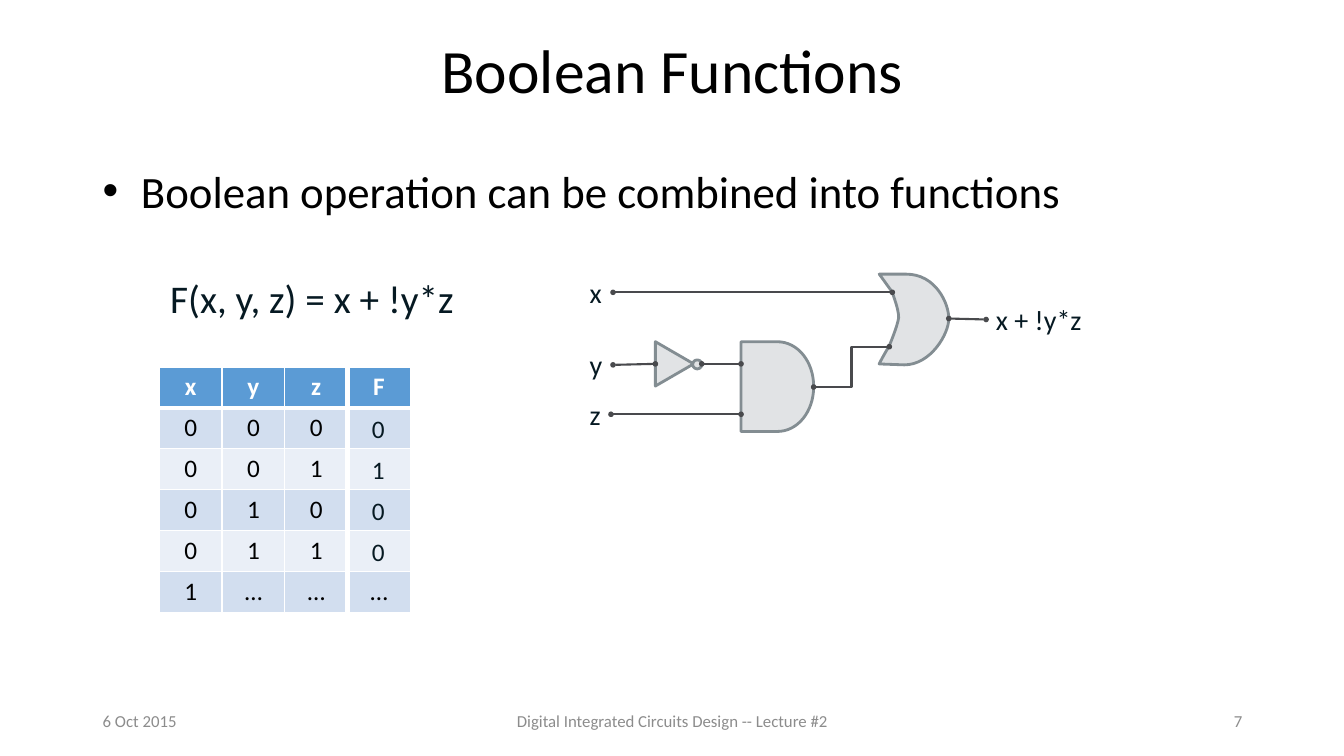
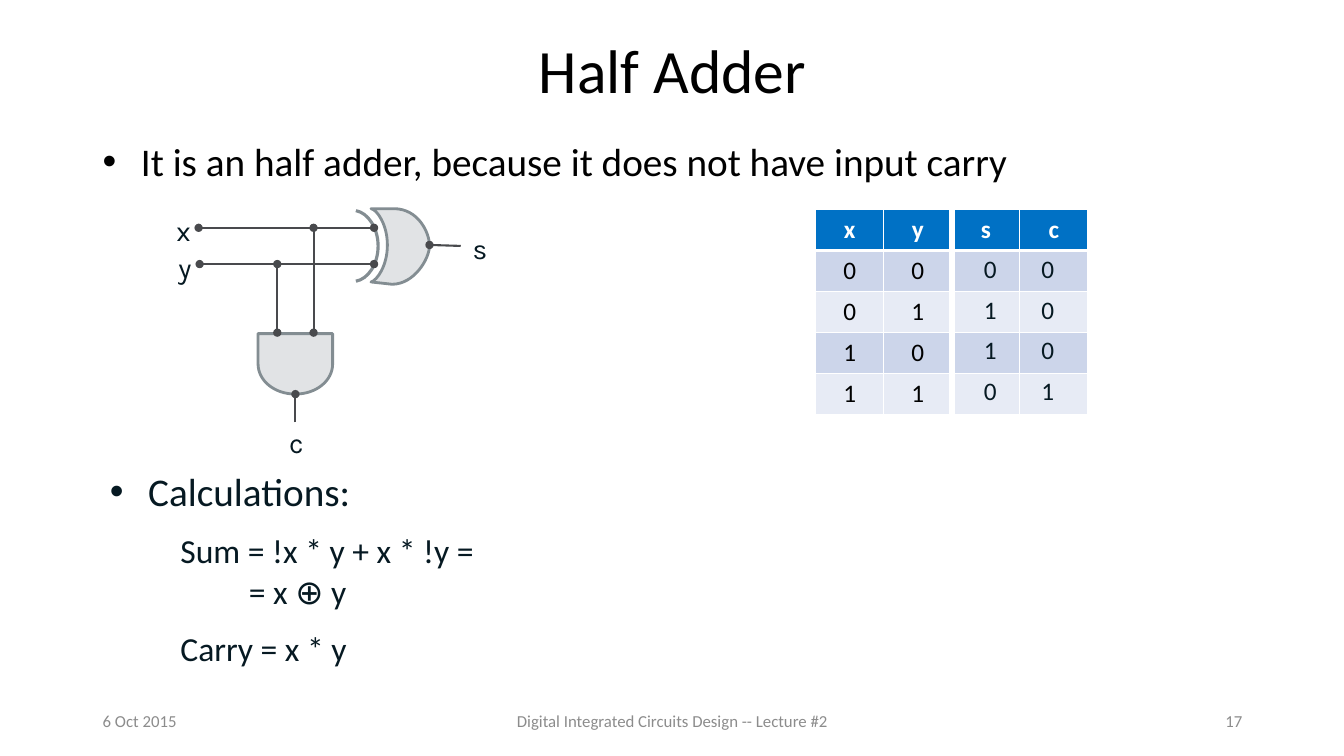
from lxml import etree
from pptx import Presentation
from pptx.dml.color import RGBColor
from pptx.enum.shapes import MSO_CONNECTOR, MSO_SHAPE
from pptx.enum.text import MSO_ANCHOR, PP_ALIGN
from pptx.oxml.ns import qn
from pptx.util import Inches, Pt

LEFT, CENTER, RIGHT = PP_ALIGN.LEFT, PP_ALIGN.CENTER, PP_ALIGN.RIGHT
TOP, MIDDLE = MSO_ANCHOR.TOP, MSO_ANCHOR.MIDDLE
STRAIGHT, ELBOW = MSO_CONNECTOR.STRAIGHT, MSO_CONNECTOR.ELBOW
TRIANGLE, OVAL = MSO_SHAPE.ISOSCELES_TRIANGLE, MSO_SHAPE.OVAL
RECTANGLE = MSO_SHAPE.RECTANGLE

# Shared look
COLORS = {"text": "000000", "ink": "061922", "footer": "8C8C8C", "white": "FFFFFF",
          "gate": "E1E3E5", "edge": "838D92", "wire": "494A4D"}
FONT, LABEL_FONT = "Calibri", "Karla"
WIDTH, HEIGHT = 13.33, 7.5
MARGIN, CONTENT = 0.92, 11.5
ROW = 2.03 / 5
ANSWER_WIDTH, ANSWER_HEIGHT = 0.43, 0.4
FOOTER_TOP, FOOTER_HEIGHT = 6.95, 0.4
DATE, COURSE = "6 Oct 2015", "Digital Integrated Circuits Design -- Lecture #2"

# Gate outlines in a unit square: 2 numbers are a line, 6 are a curve
FRONT = [(0.36, 1), (0.74, 1, 1, 0.66, 1, 0.49), (1, 0.32, 0.81, 0, 0.39, 0)]
OUTLINES = {
    "and": [(0, 0), (0.5, 0), (0.78, 0, 1, 0.22, 1, 0.5),
            (1, 0.78, 0.78, 1, 0.5, 1), (0, 1)],
    "or": [(0.39, 0), (0, 0), (0.04, 0.04, 0.16, 0.17, 0.19, 0.2),
           (0.2, 0.24, 0.28, 0.38, 0.28, 0.48), (0.26, 0.58, 0.16, 0.76, 0.14, 0.8),
           (0.12, 0.82, 0.03, 0.94, 0, 0.99)] + FRONT,
    "xor": [(0.39, 0), (0, 0), (0.1, 0.01, 0.28, 0.21, 0.28, 0.48),
            (0.28, 0.76, 0.1, 0.95, 0, 0.97)] + FRONT,
    "arc": [(0, 0), (0.55, 0.03, 1, 0.25, 1, 0.5), (1, 0.76, 0.55, 0.97, 0, 1)],
}

# Content: wires are (from, to, kind, dot at start, dot at end),
# answers are (left, top, values down the column) laid over the empty cells
SLIDES = [
    {
        "title": "Boolean Functions", "number": "7",
        "bullets": [("Boolean operation can be combined into functions",
                     (MARGIN, 1.57, CONTENT, 0.72), {"size": 32})],
        "texts": [([("F(x, y, z) = x + !y*z", {})], (1.59, 2.67, 3.23, 0.57), 28)],
        "table": {"at": (1.58, 3.64), "width": 2.49, "inputs": 3,
                  "colors": ("5B9BD5", "D2DEEF", "EAEFF7"),
                  "rows": ["xyzF", "000", "001", "010", "011", "1………"]},
        "answers": [(3.59, 4.05, "0100")],
        "shapes": [(TRIANGLE, (6.47, 3.42, 0.44, 0.38), {"rotation": 90}),
                   (OVAL, (6.87, 3.57, 0.09, 0.09), {})],
        "gates": [("and", (7.35, 3.39, 0.72, 0.89), {}),
                  ("or", (8.72, 2.72, 0.69, 0.9), {})],
        "dot_size": "sm",
        "wires": [((6.96, 3.61), (7.35, 3.61), STRAIGHT, True, True),
                  ((8.07, 3.84), (8.82, 3.44), ELBOW, True, True),
                  ((8.85, 2.9), (6.08, 2.9), STRAIGHT, True, True),
                  ((6.5, 3.61), (6.08, 3.62), STRAIGHT, True, True),
                  ((7.35, 4.11), (6.06, 4.11), STRAIGHT, True, True),
                  ((9.41, 3.16), (9.78, 3.17), STRAIGHT, True, True)],
        "label_font": FONT,
        "labels": [("x", (5.75, 2.68, 0.32, 0.44)), ("y", (5.75, 3.4, 0.33, 0.44)),
                   ("z", (5.75, 3.89, 0.31, 0.44)),
                   ("x + !y*z", (9.78, 2.95, 1.06, 0.44))],
    },
    {
        "title": "Half Adder", "number": "17",
        "bullets": [("It is an half adder, because it does not have input carry",
                     (MARGIN, 1.31, CONTENT, 0.65), {"size": 28}),
                    ("Calculations:", (1.09, 4.64, 9, 0.87),
                     {"size": 28, "color": "ink", "inset": 0})],
        "texts": [([("Sum = !x * y + x * !y =", {}), ("= x ⊕ y", {"indent": 0.68}),
                    ("Carry = x * y", {"before": 12})], (1.69, 5.21, 6.11, 1.48), 24)],
        "table": {"at": (8.09, 2.08), "width": 2.7, "inputs": 2,
                  "colors": ("0071C5", "CCD5EA", "E7EBF5"),
                  "rows": ["xysc", "00", "01", "10", "11"]},
        "answers": [(9.66, 2.46, "0110"), (10.23, 2.46, "0001")],
        "shapes": [(RECTANGLE, (1.31, 2, 5.08, 2.51),
                    {"fill": "white", "edge": "white", "weight": 0.25})],
        "gates": [("and", (2.56, 3.31, 0.74, 0.6), {"turned": True}),
                  ("xor", (3.68, 2.07, 0.58, 0.75), {}),
                  ("arc", (3.53, 2.09, 0.22, 0.7), {"closed": False, "weight": 2.25})],
        "dot_size": "med",
        "wires": [((3.71, 2.26), (1.97, 2.26), STRAIGHT, True, True),
                  ((3.71, 2.62), (1.98, 2.62), STRAIGHT, True, True),
                  ((3.11, 3.3), (3.11, 2.26), STRAIGHT, True, True),
                  ((2.75, 3.3), (2.75, 2.62), STRAIGHT, True, True),
                  ((4.26, 2.43), (4.57, 2.44), STRAIGHT, True, False),
                  ((2.93, 4.19), (2.93, 3.91), STRAIGHT, False, True)],
        "label_font": LABEL_FONT,
        "labels": [("x", (1.65, 2.07, 0.29, 0.36)), ("y", (1.67, 2.44, 0.29, 0.36)),
                   ("s", (4.59, 2.25, 0.33, 0.44)), ("c", (2.77, 4.17, 0.32, 0.44))],
    },
]


def rgb(name):
    return RGBColor.from_string(COLORS.get(name, name))


def inches(values):
    return [Inches(value) for value in values]


def format_paragraph(para, text, size=18, color="ink", font=FONT, bold=False,
                     align=LEFT, bullet=False, indent=0, before=0):
    properties = para._p.get_or_add_pPr()
    if bullet:
        properties.set("marL", str(Inches(0.38)))
        properties.set("indent", str(-Inches(0.38)))
        etree.SubElement(properties, qn("a:buFont")).set("typeface", "Arial")
        etree.SubElement(properties, qn("a:buChar")).set("char", "•")
    elif indent:
        properties.set("marL", str(Inches(indent)))
    para.alignment = align
    if before:
        para.space_before = Pt(before)
    span = para.add_run()
    span.text = text
    span.font.name, span.font.size, span.font.bold = font, Pt(size), bold
    span.font.color.rgb = rgb(color)


def add_text(page, paragraphs, place, anchor=TOP, wrap=True, inset=None, **style):
    """Add a text box holding one string or a list of (text, format) pairs."""
    box = page.shapes.add_textbox(*inches(place))
    frame = box.text_frame
    frame.word_wrap, frame.vertical_anchor = wrap, anchor
    if inset is not None:
        frame.margin_left = frame.margin_right = Inches(inset)
        frame.margin_top = frame.margin_bottom = Inches(inset)
    if isinstance(paragraphs, str):
        paragraphs = [(paragraphs, {})]
    for index, (text, extra) in enumerate(paragraphs):
        para = frame.add_paragraph() if index else frame.paragraphs[0]
        format_paragraph(para, text, **{**style, **extra})


def style_shape(shape, fill="gate", edge="edge", weight=2, rotation=0):
    shape.shadow.inherit = False
    if fill:
        shape.fill.solid()
        shape.fill.fore_color.rgb = rgb(fill)
    else:
        shape.fill.background()
    shape.line.color.rgb = rgb(edge)
    shape.line.width = Pt(weight)
    shape.rotation = rotation


def add_gate(page, kind, place, turned=False, closed=True, weight=2):
    left, top, width, height = place

    def locate(x, y):
        if turned:
            x, y = 1 - y, x
        return Inches(left + x * width), Inches(top + y * height)

    segments = [[locate(*part[i:i + 2]) for i in range(0, len(part), 2)]
                for part in OUTLINES[kind]]
    builder = page.shapes.build_freeform(*segments[0][0], scale=1.0)
    builder.add_line_segments([points[-1] for points in segments[1:]], close=closed)
    shape = builder.convert_to_shape()
    # Bend the straight segments that have control points
    outline = next(shape._element.iter(qn("a:path")))
    for node, points in zip(list(outline), segments):
        if len(points) == 3:
            curve = etree.Element(qn("a:cubicBezTo"))
            for x, y in points:
                etree.SubElement(curve, qn("a:pt"), x=str(x - shape.left),
                                 y=str(y - shape.top))
            outline.replace(node, curve)
    style_shape(shape, fill="gate" if closed else None, weight=weight)


def add_wire(page, dot_size, start, end, kind, start_dot, end_dot):
    wire = page.shapes.add_connector(kind, *inches(start + end))
    wire.line.color.rgb = rgb("wire")
    wire.line.width = Pt(1.5)
    line = wire.line._get_or_add_ln()
    for tag, dotted in (("a:headEnd", start_dot), ("a:tailEnd", end_dot)):
        if dotted:
            etree.SubElement(line, qn(tag), type="oval", w=dot_size, len=dot_size)
    etree.SubElement(wire._element.spPr, qn("a:effectLst"))


def set_borders(cell, weights):
    """Draw white cell borders, ahead of the fill as the schema asks."""
    properties = cell._tc.get_or_add_tcPr()
    for index, (side, weight) in enumerate(zip("LRTB", weights)):
        line = etree.Element(qn("a:ln" + side), w=str(Pt(weight)))
        fill = etree.SubElement(line, qn("a:solidFill"))
        etree.SubElement(fill, qn("a:srgbClr")).set("val", COLORS["white"])
        properties.insert(index, line)


def add_truth_table(page, at, width, inputs, colors, rows):
    count = len(rows[0])
    table = page.shapes.add_table(len(rows), count, *inches(
        (*at, width, ROW * len(rows)))).table
    table.horz_banding = False
    for column in table.columns:
        column.width = Inches(width / count)
    for r, values in enumerate(rows):
        table.rows[r].height = Inches(ROW)
        for c in range(count):
            cell = table.cell(r, c)
            cell.fill.solid()
            cell.fill.fore_color.rgb = rgb(colors[0] if r == 0 else colors[2 - r % 2])
            if c < len(values):
                format_paragraph(cell.text_frame.paragraphs[0], values[c], bold=r == 0,
                                 color="text" if r else "white", align=CENTER)
            set_borders(cell, (4.5 if c == inputs else 1, 4.5 if c == inputs - 1 else 1,
                               3 if r == 1 else 1, 3 if r == 0 else 1))


def add_frame(page, title, number):
    """Title and footer, the same on each slide."""
    heading = page.shapes.title
    heading.left, heading.top, heading.width, heading.height = inches(
        (MARGIN, 0, CONTENT, 1.45))
    heading.text_frame.vertical_anchor = MIDDLE
    para = heading.text_frame.paragraphs[0]
    format_paragraph(para, title, size=44, color="text", align=CENTER)
    para.line_spacing = 0.9
    right = MARGIN + CONTENT
    for text, left, width, align in ((DATE, MARGIN, 3, LEFT),
                                     (COURSE, MARGIN + 3.5, 4.5, CENTER),
                                     (number, right - 3, 3, RIGHT)):
        add_text(page, text, (left, FOOTER_TOP, width, FOOTER_HEIGHT), anchor=MIDDLE,
                 size=12, color="footer", align=align)


def build_slide(deck, content):
    page = deck.slides.add_slide(deck.slide_layouts[5])
    add_frame(page, content["title"], content["number"])
    for text, place, style in content["bullets"]:
        add_text(page, text, place, bullet=True, **{"color": "text", **style})
    for paragraphs, place, size in content["texts"]:
        add_text(page, paragraphs, place, size=size)
    # Truth table and its answers
    add_truth_table(page, **content["table"])
    for left, top, values in content["answers"]:
        for row, value in enumerate(values):
            add_text(page, value, (left, top + row * ROW, ANSWER_WIDTH, ANSWER_HEIGHT))
    # Circuit
    for kind, place, style in content["shapes"]:
        style_shape(page.shapes.add_shape(kind, *inches(place)), **style)
    for kind, place, style in content["gates"]:
        add_gate(page, kind, place, **style)
    for wire in content["wires"]:
        add_wire(page, content["dot_size"], *wire)
    for text, place in content["labels"]:
        add_text(page, text, place, wrap=False, size=20, font=content["label_font"])


def main():
    deck = Presentation()
    deck.slide_width, deck.slide_height = inches((WIDTH, HEIGHT))
    for content in SLIDES:
        build_slide(deck, content)
    deck.save("out.pptx")


if __name__ == "__main__":
    main()
